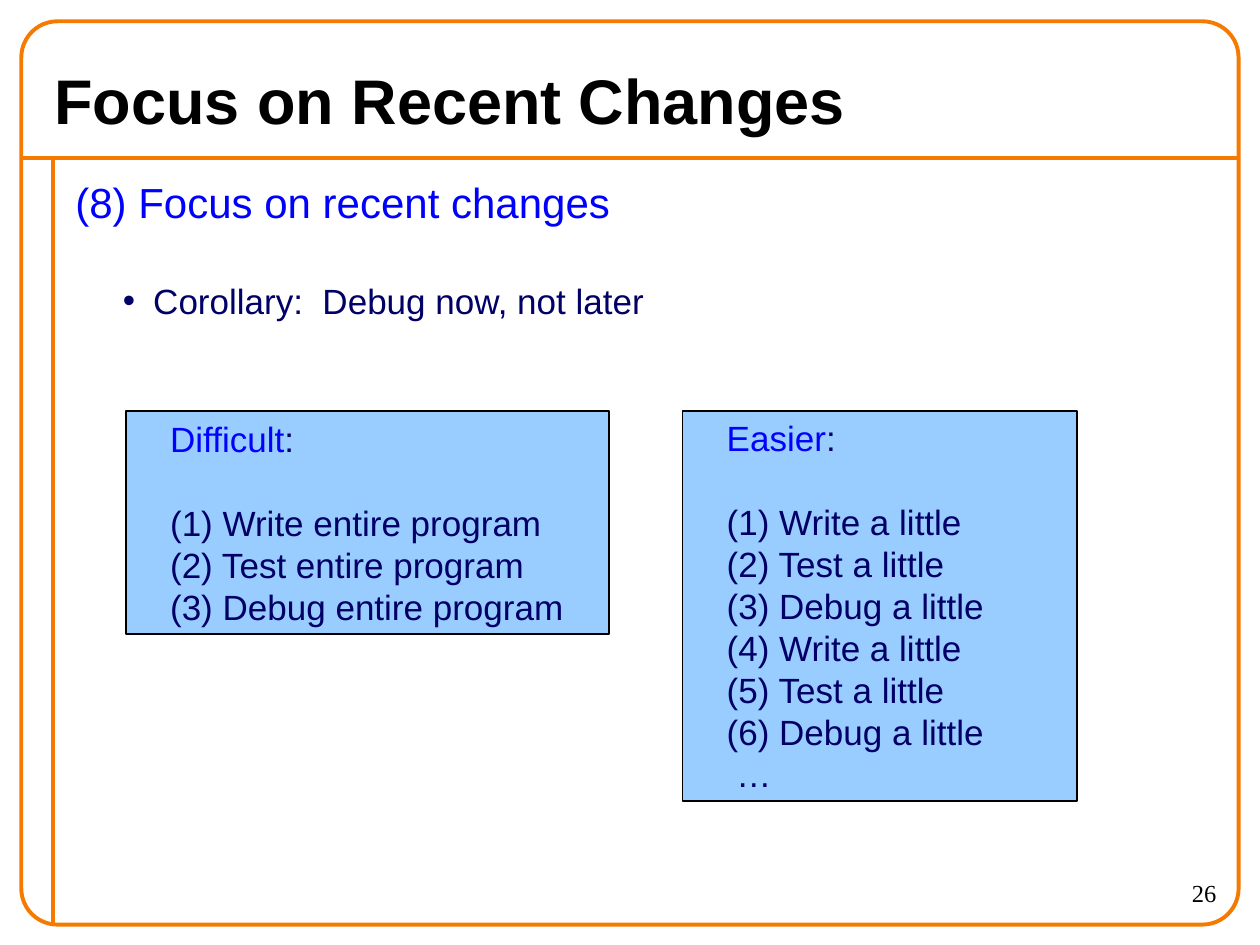
"""Build a slide on debugging recent changes, with two boxes comparing workflows."""
from typing import NamedTuple

from lxml.etree import SubElement as Sub
from pptx import Presentation
from pptx.dml.color import RGBColor as RGB
from pptx.enum.shapes import MSO_CONNECTOR as Link, MSO_SHAPE as Kind
from pptx.enum.text import MSO_ANCHOR as Anchor, PP_ALIGN as Align
from pptx.oxml.ns import qn
from pptx.util import Cm, Pt

ORANGE = RGB(0xF4, 0x7A, 0x00)
BLUE = RGB(0x00, 0x00, 0xFF)
NAVY = RGB(0x00, 0x00, 0x66)
SKY = RGB(0x99, 0xCC, 0xFF)
BLACK = RGB(0x00, 0x00, 0x00)

LEFT, RIGHT = 0.43, 24.97
TOP, BASE = 0.43, 18.64
RULE = 3.18
MARGIN = 1.07
PAD = 0.25


class Area(NamedTuple):
    left: float
    top: float
    width: float
    height: float


class Font(NamedTuple):
    size: int
    color: RGB
    name: str = "Arial"
    bold: bool = False


class Card(NamedTuple):
    area: Area
    head: str
    steps: list[str]


HEAD = Font(20, BLUE)
BODY = Font(20, NAVY)
CARDS = [
    Card(Area(13.76, 8.28, 7.95, 7.87), "Easier",
         [f"({n}) {verb} a little" for n, verb in
          enumerate(("Write", "Test", "Debug") * 2, 1)] + [" …"]),
    Card(Area(2.54, 8.28, 9.74, 4.5), "Difficult",
         [f"({n}) {verb} entire program" for n, verb in
          enumerate(("Write", "Test", "Debug"), 1)]),
]


def add_run(para, text: str, font: Font) -> None:
    run = para.add_run()
    run.text = text
    run.font.size = Pt(font.size)
    run.font.name = font.name
    run.font.bold = font.bold
    run.font.color.rgb = font.color


def indent(para, left: float, hang: float = 0) -> None:
    props = para._p.get_or_add_pPr()
    props.set("marL", str(Cm(left)))
    props.set("indent", str(Cm(-hang)))


def add_bullet(para, color: RGB) -> None:
    props = para._p.get_or_add_pPr()
    Sub(Sub(props, qn("a:buClr")), qn("a:srgbClr")).set("val", str(color))
    Sub(props, qn("a:buFont")).set("typeface", "Arial")
    Sub(props, qn("a:buChar")).set("char", "•")


def add_box(slide, area: Area, anchor=Anchor.TOP):
    frame = slide.shapes.add_textbox(*map(Cm, area)).text_frame
    frame.word_wrap = True
    frame.vertical_anchor = anchor
    return frame


def add_line(slide, *ends: float) -> None:
    line = slide.shapes.add_connector(Link.STRAIGHT, *map(Cm, ends))
    line.line.color.rgb = ORANGE
    line.line.width = Pt(2.25)
    Sub(line._element.spPr, qn("a:effectLst"))


def add_frame(slide) -> None:
    add_line(slide, LEFT, RULE, RIGHT, RULE)
    add_line(slide, MARGIN, RULE, MARGIN, BASE)
    area = Area(LEFT, TOP, RIGHT - LEFT, BASE - TOP)
    shape = slide.shapes.add_shape(Kind.ROUNDED_RECTANGLE, *map(Cm, area))
    shape.adjustments[0] = 0.04
    shape.shadow.inherit = False
    shape.fill.background()
    shape.line.color.rgb = ORANGE
    shape.line.width = Pt(2.25)


def add_card(slide, card: Card) -> None:
    shape = slide.shapes.add_shape(Kind.RECTANGLE, *map(Cm, card.area))
    shape.shadow.inherit = False
    shape.fill.solid()
    shape.fill.fore_color.rgb = SKY
    shape.line.color.rgb = BLACK
    shape.line.width = Pt(1)
    frame = shape.text_frame
    frame.vertical_anchor = Anchor.MIDDLE
    para = frame.paragraphs[0]
    add_run(para, card.head, HEAD)
    add_run(para, ":", BODY)
    para.space_after = Pt(24)
    for step in card.steps:
        add_run(frame.add_paragraph(), step, BODY)
    for para in frame.paragraphs:
        para.alignment = Align.LEFT
        para.line_spacing = Pt(24)
        indent(para, 0.64)


def add_body(slide) -> None:
    frame = add_box(slide, Area(1.27, 3.43, 23.5, 15.2))
    para = frame.paragraphs[0]
    indent(para, 0.61, 0.61)
    add_run(para, "(8) Focus on recent changes", Font(24, BLUE))
    para = frame.add_paragraph()
    para.space_before = Pt(30)
    indent(para, 1.57, 0.61)
    add_bullet(para, NAVY)
    add_run(para, "Corollary:  Debug now, not later", BODY)


def main() -> None:
    deck = Presentation()
    deck.slide_width, deck.slide_height = Cm(25.4), Cm(19.05)
    slide = deck.slides.add_slide(deck.slide_layouts[6])
    add_frame(slide)
    para = add_box(slide, Area(22.23, 17.57, 2.54, 1.07)).paragraphs[0]
    para.alignment = Align.RIGHT
    add_run(para, "26", Font(14, BLACK, "Times New Roman"))
    title = add_box(slide, Area(0.85, 1.06, 23.7, 1.9), Anchor.MIDDLE)
    add_run(title.paragraphs[0], "Focus on Recent Changes",
            Font(36, BLACK, bold=True))
    add_body(slide)
    for card in CARDS:
        add_card(slide, card)
    deck.save("out.pptx")


if __name__ == "__main__":
    main()
